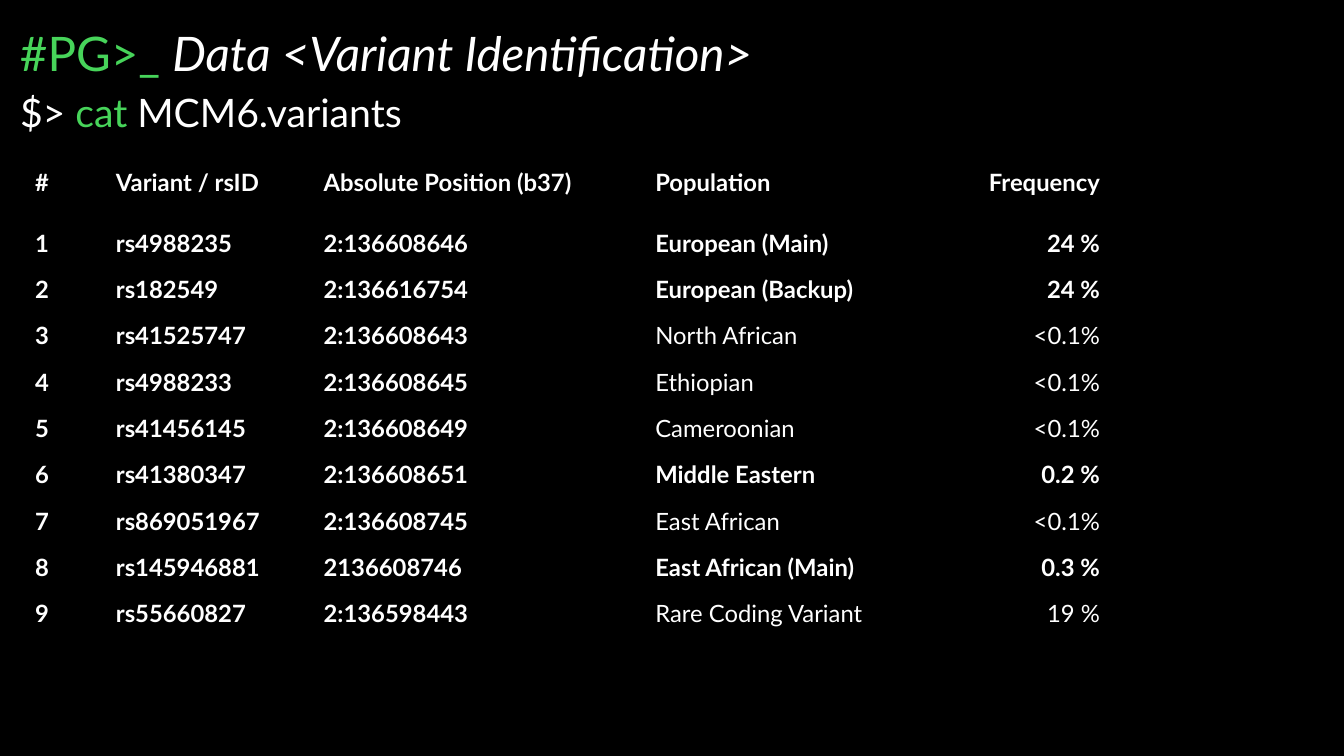
from dataclasses import dataclass

from lxml.etree import SubElement
from pptx import Presentation
from pptx.dml.color import RGBColor
from pptx.enum.text import MSO_ANCHOR as Anchor, PP_ALIGN as Align
from pptx.oxml.ns import qn
from pptx.util import Pt

PX = 9144  # EMU per px, 100 px to the inch


@dataclass(frozen=True)
class Theme:
    font: str = "Lato"
    black: str = "000000"
    white: str = "FFFFFF"
    green: str = "47D45A"
    title: int = 34
    command: int = 28
    body: int = 17
    border: float = 0.75


class Deck:
    def __init__(self, theme, width, height):
        self.theme = theme
        self.prs = Presentation()
        self.prs.slide_width, self.prs.slide_height = width * PX, height * PX
        self.s = self.prs.slides.add_slide(self.prs.slide_layouts[6])
        fill = self.s.background.fill
        fill.solid()
        fill.fore_color.rgb = RGBColor.from_string(theme.black)

    def run(self, p, text, size, color, bold=False, italic=False):
        r = p.add_run()
        r.text = text
        font = r.font
        font.name, font.size = self.theme.font, Pt(size)
        font.bold, font.italic = bold, italic
        font.color.rgb = RGBColor.from_string(color)

    def text(self, box, size, runs, anchor=Anchor.TOP):
        """Add one line of text; each run is (text, color, italic)."""
        tf = self.s.shapes.add_textbox(*(v * PX for v in box)).text_frame
        tf.word_wrap = True
        tf.vertical_anchor = anchor
        p = tf.paragraphs[0]
        p.line_spacing = 0.9
        for text, color, italic in runs:
            self.run(p, text, size, color, italic=italic)

    def border(self, cell):
        tc_pr = cell._tc.get_or_add_tcPr()
        for side in ("a:lnL", "a:lnR", "a:lnT", "a:lnB"):
            ln = SubElement(tc_pr, qn(side), w=str(Pt(self.theme.border)))
            solid = SubElement(ln, qn("a:solidFill"))
            SubElement(solid, qn("a:srgbClr"), val=self.theme.black)

    def cell(self, cell, text, bold, align):
        cell.margin_left = cell.margin_right = 12 * PX
        cell.margin_top = cell.margin_bottom = 8 * PX
        cell.vertical_anchor = Anchor.MIDDLE
        self.border(cell)
        cell.fill.background()
        p = cell.text_frame.paragraphs[0]
        p.alignment = align
        self.run(p, text, self.theme.body, self.theme.white, bold)

    def table(self, left, top, widths, heights, rows, plain_rows):
        """Add a table; plain_rows lists the rows whose last two cells are not bold."""
        frame = self.s.shapes.add_table(
            len(rows), len(widths), left * PX, top * PX, sum(widths) * PX, sum(heights) * PX)
        table = frame.table
        table.first_row = table.horz_banding = False
        for column, width in zip(table.columns, widths):
            column.width = width * PX
        last = len(widths) - 1
        for i, (height, values) in enumerate(zip(heights, rows)):
            table.rows[i].height = height * PX
            for j, value in enumerate(values):
                bold = i not in plain_rows or j < last - 1
                align = Align.RIGHT if j == last else Align.LEFT
                self.cell(table.cell(i, j), value, bold, align)


HEADER = ("#", "Variant / rsID", "Absolute Position (b37)", "Population", "Frequency")
VARIANTS = [
    ("rs4988235", "2:136608646", "European (Main)", "24 %"),
    ("rs182549", "2:136616754", "European (Backup)", "24 %"),
    ("rs41525747", "2:136608643", "North African", "<0.1%"),
    ("rs4988233", "2:136608645", "Ethiopian", "<0.1%"),
    ("rs41456145", "2:136608649", "Cameroonian", "<0.1%"),
    ("rs41380347", "2:136608651", "Middle Eastern", "0.2 %"),
    ("rs869051967", "2:136608745", "East African", "<0.1%"),
    ("rs145946881", "2136608746", "East African (Main)", "0.3 %"),
    ("rs55660827", "2:136598443", "Rare Coding Variant", "19 %"),
]
PLAIN_ROWS = {3, 4, 5, 7, 9}


def main():
    theme = Theme()
    deck = Deck(theme, 1333, 750)
    deck.text((10, 19, 1323, 73), theme.title, [
        ("#PG>_ ", theme.green, False),
        ("Data <Variant Identification>", theme.white, True),
    ], Anchor.MIDDLE)
    deck.text((10, 88, 1075, 55), theme.command, [
        ("$> ", theme.white, False),
        ("cat", theme.green, False),
        (" MCM6.variants", theme.white, False),
    ])
    rows = [HEADER] + [(str(n), *variant) for n, variant in enumerate(VARIANTS, 1)]
    deck.table(23, 143, (80, 206, 329, 290, 175), [75] + [46] * 8 + [44], rows, PLAIN_ROWS)
    deck.prs.save("out.pptx")


if __name__ == "__main__":
    main()
